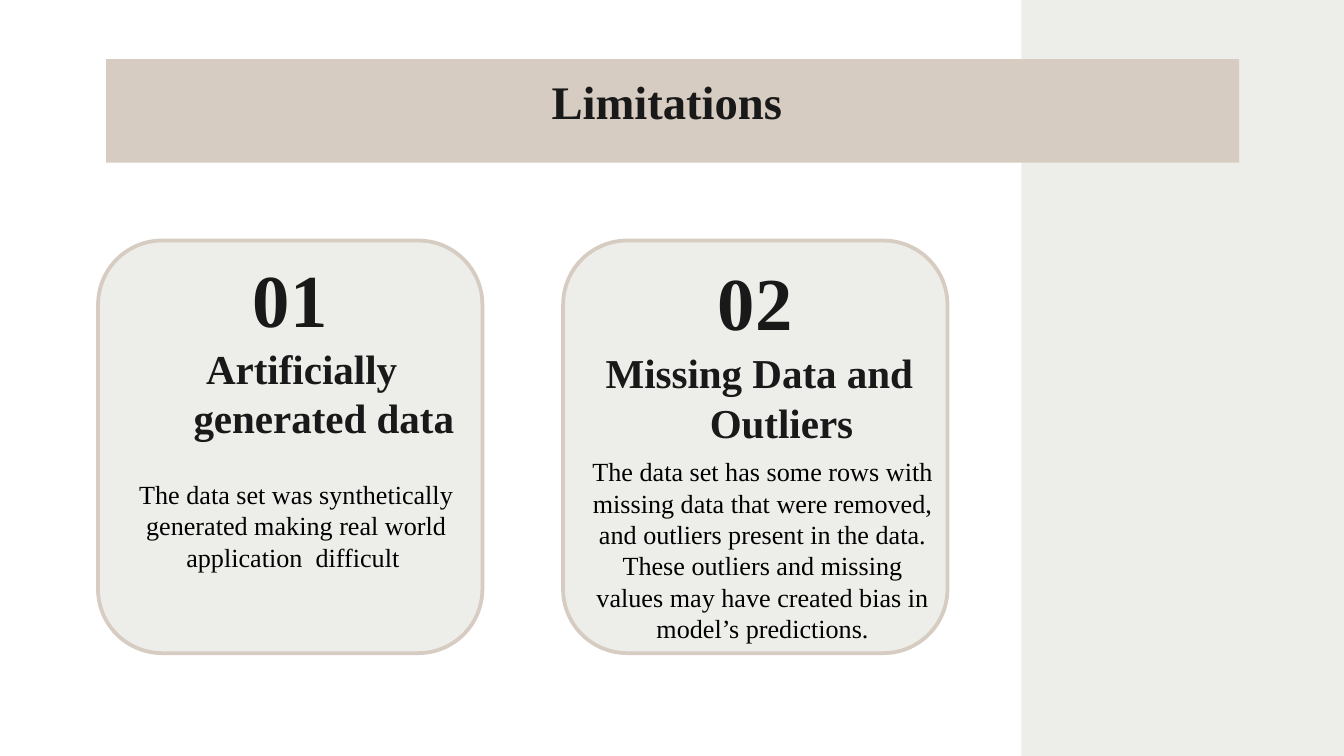
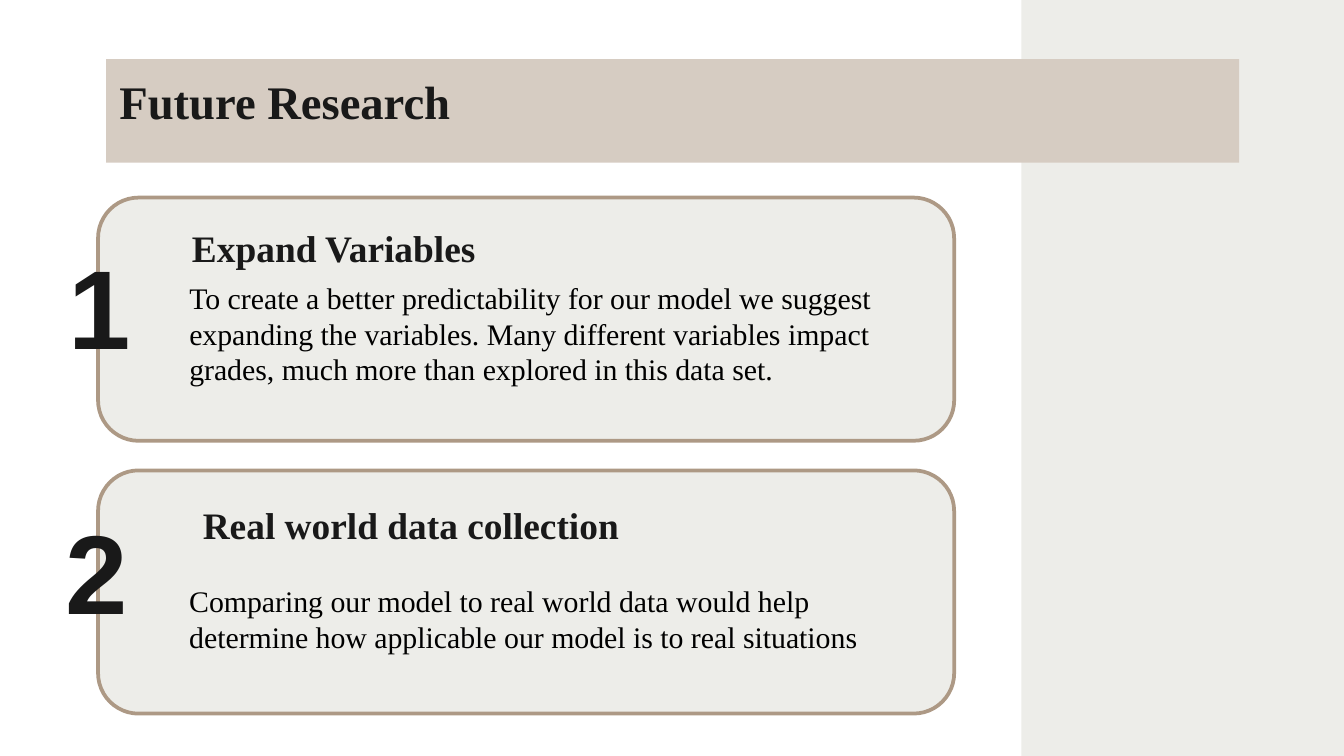
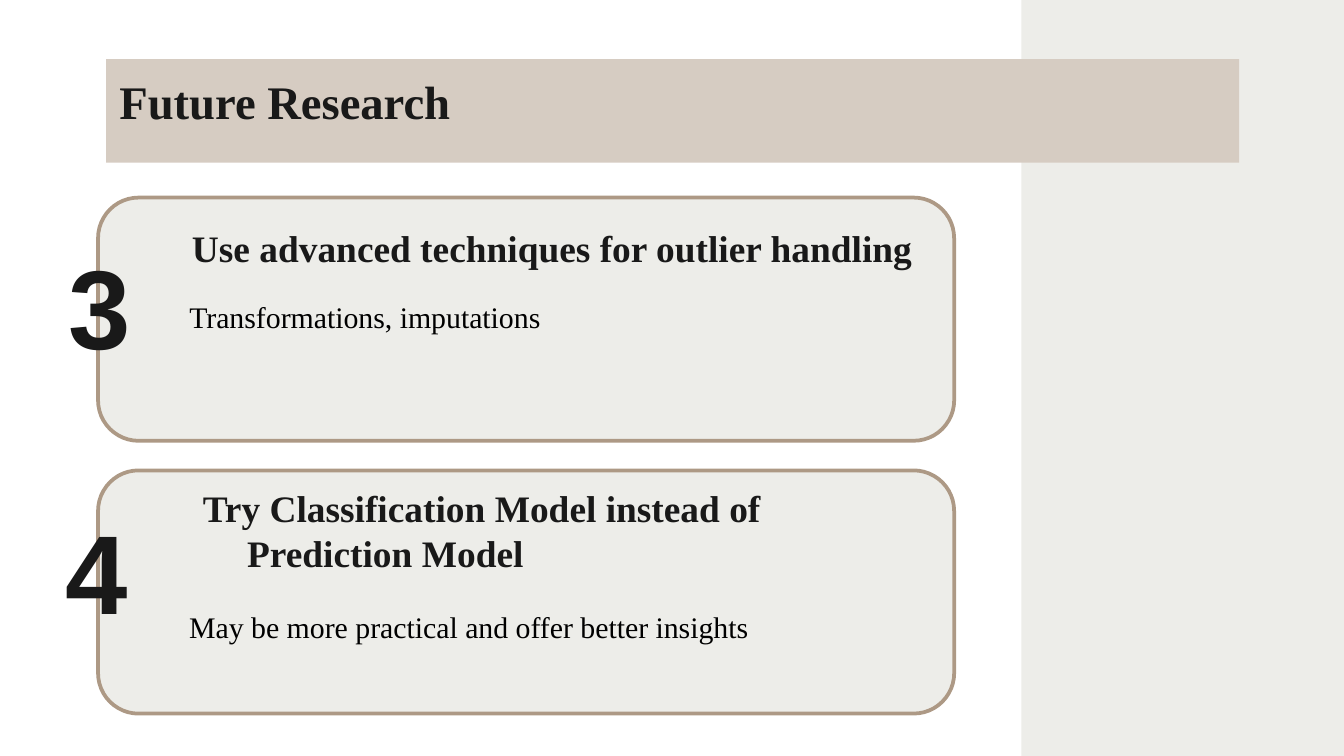
from dataclasses import dataclass

from pptx import Presentation
from pptx.dml.color import RGBColor
from pptx.enum.shapes import MSO_SHAPE as Shape
from pptx.enum.text import MSO_ANCHOR as Anchor, PP_ALIGN as Align
from pptx.util import Inches, Pt

Box = tuple[float, float, float, float]

# Square grid: 100 columns across the slide, lengths are in cells
WIDTH = Inches(10)
HEIGHT = WIDTH * 9 // 16
COLS = 100
CELL = WIDTH / COLS
ROWS = HEIGHT / CELL

SAGE, SAND, TAUPE = "EDEDE9", "D6CCC2", "AD9985"
INK, BLACK = "191919", "000000"
SERIF, SANS = "Times New Roman", "Arial"

PANEL: Box = (76, 0, 24, ROWS)
BAND: Box = (7.9, 4.4, 84.3, 7.7)
CARD_LEFT = 7.3
HANG = (5, -3.3)  # left margin and first-line indent


@dataclass(frozen=True)
class Card:
    at: Box
    number: str
    number_at: Box
    heading: str
    heading_at: Box
    body: str
    body_at: Box


@dataclass(frozen=True)
class CardStyle:
    line: str
    number_size: int
    number_font: str
    heading_size: int
    body_size: int
    align: Align


TILE = CardStyle(SAND, 40, SERIF, 22, 14, Align.CENTER)
ROW = CardStyle(TAUPE, 60, SANS, 20, 16, Align.LEFT)


def rgb(color: str) -> RGBColor:
    return RGBColor.from_string(color)


def cells(at: Box) -> list[int]:
    return [round(v * CELL) for v in at]


def add_block(slide, kind, at: Box, fill: str, line: str | None = None):
    sp = slide.shapes.add_shape(kind, *cells(at))
    sp.shadow.inherit = False
    sp.fill.solid()
    sp.fill.fore_color.rgb = rgb(fill)
    if line:
        sp.line.color.rgb = rgb(line)
        sp.line.width = Pt(2)
    else:
        sp.line.fill.background()
    return sp


def write(sp, text: str, *, size: int, font: str = SERIF, color: str = INK,
          bold: bool = True, align=Align.LEFT, anchor=Anchor.TOP,
          inset: float = 1, hang: tuple[float, float] | None = None) -> None:
    """Fill a shape with one paragraph; inset is its top and bottom margin."""
    tf = sp.text_frame
    tf.word_wrap = True
    tf.vertical_anchor = anchor
    tf.margin_left = tf.margin_right = round(CELL)
    tf.margin_top = tf.margin_bottom = round(inset * CELL)
    p = tf.paragraphs[0]
    p.alignment = align
    if hang:
        pPr = p._p.get_or_add_pPr()
        for name, value in zip(("marL", "indent"), hang):
            pPr.set(name, str(round(value * CELL)))
    r = p.add_run()
    r.text = text
    r.font.name, r.font.size, r.font.bold = font, Pt(size), bold
    r.font.color.rgb = rgb(color)


def add_text(slide, text: str, at: Box, **style) -> None:
    write(slide.shapes.add_textbox(*cells(at)), text, **style)


def add_card_text(slide, card: Card, style: CardStyle) -> None:
    add_text(slide, card.number, card.number_at, size=style.number_size,
             font=style.number_font, align=style.align, anchor=Anchor.BOTTOM)
    add_text(slide, card.heading, card.heading_at, size=style.heading_size,
             align=style.align, anchor=Anchor.BOTTOM, hang=HANG)
    add_text(slide, card.body, card.body_at, size=style.body_size, color=BLACK,
             bold=False, align=style.align, inset=0.5)


def add_card_slide(prs, title: str, cards: list[Card], style: CardStyle) -> None:
    slide = prs.slides.add_slide(prs.slide_layouts[6])
    add_block(slide, Shape.RECTANGLE, PANEL, SAGE)
    for card in reversed(cards):
        add_block(slide, Shape.ROUNDED_RECTANGLE, card.at, SAGE, style.line)
    band = add_block(slide, Shape.RECTANGLE, BAND, SAND)
    write(band, title, size=25, align=style.align)
    for card in cards:
        add_card_text(slide, card, style)


def tile_at(index: int) -> Box:
    return (CARD_LEFT + index * 34.6, 17.9, 28.6, 30.7)


def upper_row(number: str, heading: str, body: str, top: float, height: float) -> Card:
    return Card((CARD_LEFT, 14.7, 63.7, 18.1), number, (4.1, 19.9, 13, 8.8),
                heading, (11.6, 17.3, 63.7, 3.8), body, (13.1, top, 56.5, height))


def lower_row(number: str, heading: str, heading_top: float,
              body: str, top: float, height: float) -> Card:
    return Card((CARD_LEFT, 35, 63.7, 18.1), number, (3.9, 39.6, 13, 8.8),
                heading, (12.4, heading_top, 54.9, 3.8), body, (13.1, top, 53.4, height))


LIMITATIONS = [
    Card(tile_at(0), "01", (17.6, 22.7, 8, 3.8),
         "Artificially generated data", (7.3, 30.1, 28.6, 3.8),
         "The data set was synthetically generated making real world "
         "application  difficult ", (8.2, 35.1, 27.7, 8.1)),
    Card(tile_at(1), "02", (52.2, 22.9, 8, 3.8),
         "Missing Data and Outliers", (41.8, 30.4, 27.7, 3.8),
         "The data set has some rows with missing data that were removed, and "
         "outliers present in the data. These outliers and missing values may "
         "have created bias in model’s predictions.", (42.9, 33.4, 27.7, 15.1)),
]

DATA_RESEARCH = [
    upper_row("1", "Expand Variables",
              "To create a better predictability for our model we suggest "
              "expanding the variables. Many different variables impact grades, "
              "much more than explored in this data set.", 20.3, 9.1),
    lower_row("2", "Real world data collection", 37.9,
              "Comparing our model to real world data would help determine how "
              "applicable our model is to real situations", 42.9, 6.4),
]

METHOD_RESEARCH = [
    upper_row("3", "Use advanced techniques for outlier handling",
              "Transformations, imputations", 21.7, 3.7),
    lower_row("4", "Try Classification Model instead of Prediction Model", 40,
              "May be more practical and offer better insights", 44.8, 3.7),
]


def main() -> None:
    prs = Presentation()
    prs.slide_width, prs.slide_height = WIDTH, HEIGHT
    add_card_slide(prs, "Limitations ", LIMITATIONS, TILE)
    add_card_slide(prs, "Future Research", DATA_RESEARCH, ROW)
    add_card_slide(prs, "Future Research", METHOD_RESEARCH, ROW)
    prs.save("out.pptx")


if __name__ == "__main__":
    main()
